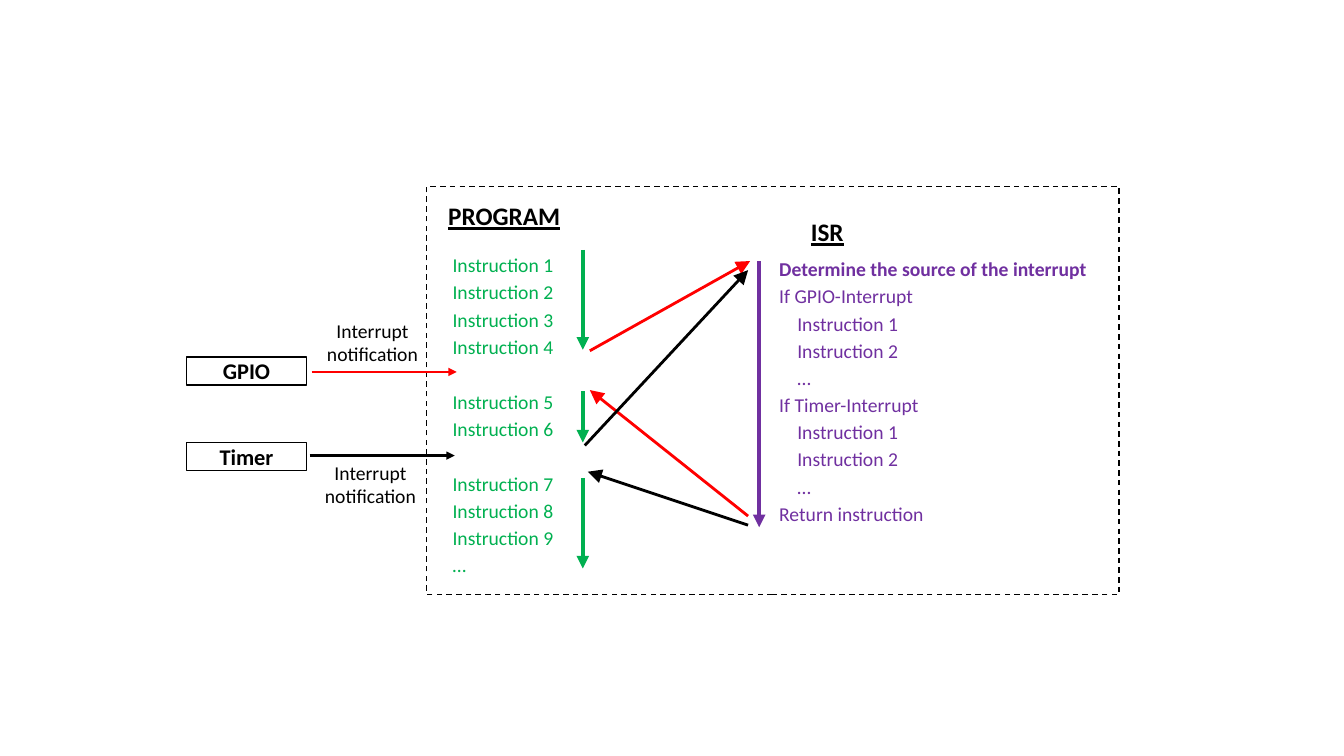
from lxml import etree
from pptx import Presentation
from pptx import util as u
from pptx.dml.color import RGBColor
from pptx.enum import dml, shapes, text
from pptx.oxml import ns

COLORS = {"black": "000000", "green": "00B050", "red": "FF0000", "purple": "7030A0"}
LINE_GAP = 2.6
BLOCK_GAP = 22.3

PROGRAM_BLOCKS = [
    ["Instruction 1", "Instruction 2", "Instruction 3", "Instruction 4"],
    ["Instruction 5", "Instruction 6"],
    ["Instruction 7", "Instruction 8", "Instruction 9", "…"],
]
BRANCH_STEPS = ["Instruction 1", "Instruction 2", "…"]


class InterruptSlide:
    """Draws the elements of the interrupt diagram in one shared style."""

    def __init__(self, presentation, font="Calibri"):
        self.slide = presentation.slides.add_slide(presentation.slide_layouts[6])
        self.font = font

    def format(self, paragraph, size, color, bold=False, underline=False):
        for run in paragraph.runs:
            run.font.name = self.font
            run.font.size = u.Pt(size)
            run.font.bold = bold
            run.font.underline = underline
            run.font.color.rgb = RGBColor.from_string(COLORS[color])

    def text_box(self, left, top, width, height, wrap=False):
        box = self.slide.shapes.add_textbox(*map(u.Inches, (left, top, width, height)))
        frame = box.text_frame
        frame.word_wrap = wrap
        frame.vertical_anchor = text.MSO_ANCHOR.MIDDLE
        return frame

    def label(self, left, top, width, height, words, size=14, heading=False):
        frame = self.text_box(left, top, width, height, wrap=not heading)
        frame.text = words
        paragraph = frame.paragraphs[0]
        paragraph.alignment = text.PP_ALIGN.CENTER
        self.format(paragraph, size, "black", heading, heading)

    def listing(self, left, top, width, height, lines, color):
        frame = self.text_box(left, top, width, height)
        for index, (words, gap, indent, bold) in enumerate(lines):
            paragraph = frame.add_paragraph() if index else frame.paragraphs[0]
            paragraph.text = words
            if index:
                paragraph.space_before = u.Pt(gap)
            if indent:
                paragraph._p.get_or_add_pPr().set("marL", str(u.Inches(indent)))
            self.format(paragraph, 14, color, bold)

    def rectangle(self, left, top, width, height, words="", dashed=False):
        shape = self.slide.shapes.add_shape(
            shapes.MSO_SHAPE.RECTANGLE, *map(u.Inches, (left, top, width, height)))
        shape.shadow.inherit = False
        shape.fill.background()
        shape.line.color.rgb = RGBColor.from_string(COLORS["black"])
        shape.line.width = u.Pt(1)
        if dashed:
            shape.line.dash_style = dml.MSO_LINE.DASH
        if words:
            shape.text_frame.text = words
            shape.text_frame.vertical_anchor = text.MSO_ANCHOR.MIDDLE
            paragraph = shape.text_frame.paragraphs[0]
            paragraph.alignment = text.PP_ALIGN.CENTER
            self.format(paragraph, 16, "black", bold=True)

    def arrow(self, start, end, color, width=2, head="med"):
        connector = self.slide.shapes.add_connector(
            shapes.MSO_CONNECTOR.STRAIGHT, *map(u.Inches, (*start, *end)))
        connector.line.color.rgb = RGBColor.from_string(COLORS[color])
        connector.line.width = u.Pt(width)
        etree.SubElement(connector.line._get_or_add_ln(), ns.qn("a:tailEnd"),
                         type="triangle", w=head, len=head)
        etree.SubElement(connector._element.spPr, ns.qn("a:effectLst"))


def main():
    presentation = Presentation()
    presentation.slide_width = u.Inches(13.33)
    presentation.slide_height = u.Inches(7.5)
    diagram = InterruptSlide(presentation)

    program = [(words, LINE_GAP if index else BLOCK_GAP, 0, False)
               for block in PROGRAM_BLOCKS for index, words in enumerate(block)]
    routine = [("Determine the source of the interrupt", LINE_GAP, 0, True)]
    for source in ("GPIO", "Timer"):
        routine.append((f"If {source}-Interrupt", LINE_GAP, 0, False))
        routine += [(step, LINE_GAP, 0.18, False) for step in BRANCH_STEPS]
    routine.append(("Return instruction", LINE_GAP, 0, False))

    diagram.listing(4.39, 2.39, 1.21, 3.45, program, "green")
    diagram.listing(7.63, 2.44, 3.27, 2.88, routine, "purple")
    diagram.label(4.34, 1.94, 1.32, 0.4, "PROGRAM", 18, heading=True)
    diagram.label(7.94, 2.1, 0.53, 0.4, "ISR", 18, heading=True)

    for top, bottom in ((2.48, 3.47), (3.88, 4.39), (4.74, 5.64)):
        diagram.arrow((5.78, top), (5.78, bottom), "green", 3)
    diagram.arrow((7.53, 2.59), (7.53, 5.23), "purple", 3)

    for start, end, color in (
        ((5.85, 3.48), (7.44, 2.59), "red"),
        ((7.42, 5.12), (5.85, 3.87), "red"),
        ((5.8, 4.42), (7.42, 2.68), "black"),
        ((7.42, 5.21), (5.83, 4.68), "black"),
    ):
        diagram.arrow(start, end, color, head="lg")

    diagram.rectangle(4.23, 1.85, 6.87, 4.05, dashed=True)
    for source, box_top, label_left, label_top, arrow_left, arrow_y, color in (
        ("GPIO", 3.54, 3.13, 3.11, 3.09, 3.69, "red"),
        ("Timer", 4.39, 3.11, 4.52, 3.07, 4.52, "black"),
    ):
        diagram.rectangle(1.85, box_top, 1.19, 0.28, source)
        diagram.label(label_left, label_top, 1.13, 0.57, "Interrupt notification")
        diagram.arrow((arrow_left, arrow_y), (arrow_left + 1.44, arrow_y), color)

    presentation.save("out.pptx")


if __name__ == "__main__":
    main()
